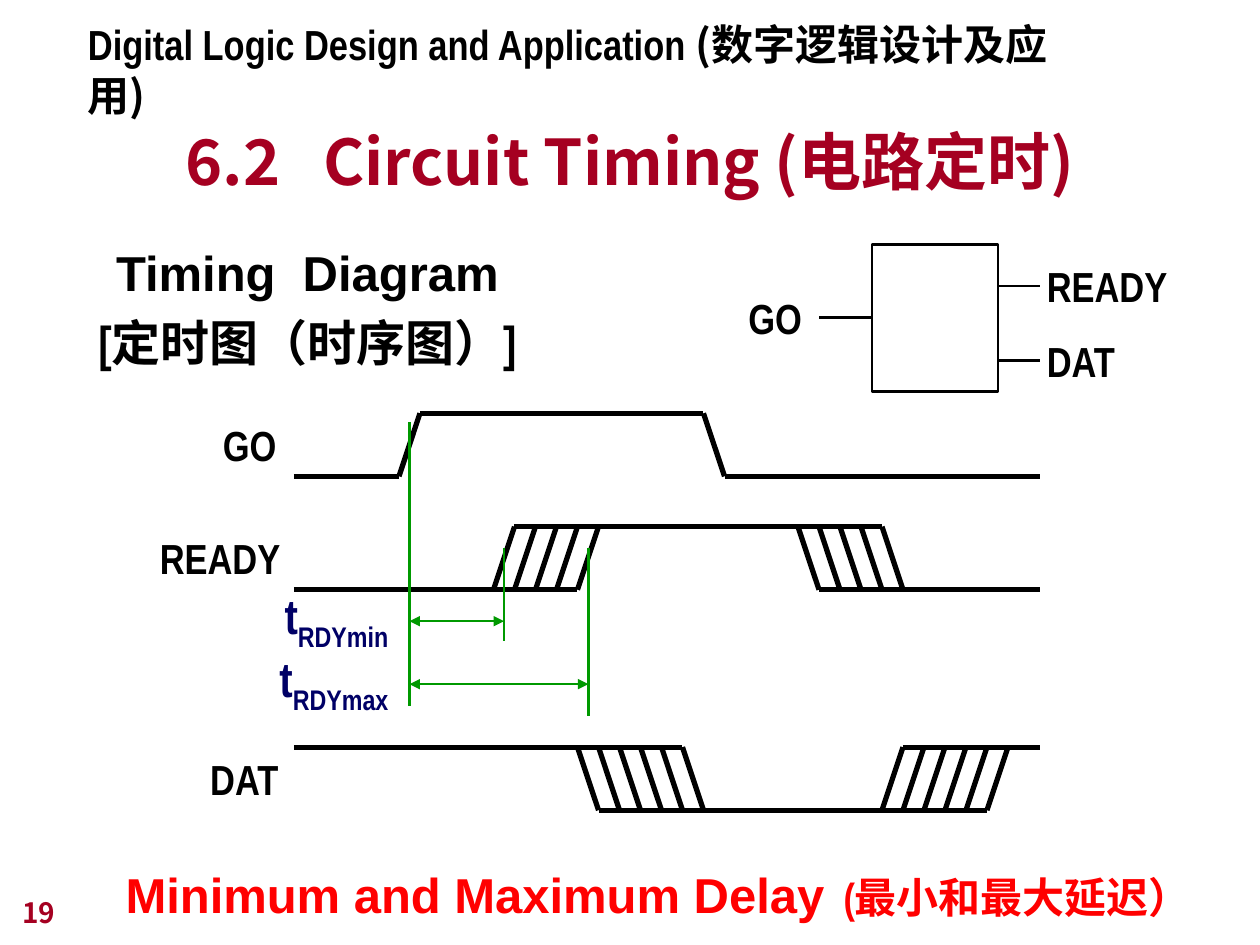
from dataclasses import dataclass
from typing import NamedTuple

from lxml.etree import SubElement
from pptx import Presentation
from pptx.dml.color import RGBColor
from pptx.enum.shapes import MSO_CONNECTOR, MSO_SHAPE
from pptx.enum.text import MSO_ANCHOR, MSO_AUTO_SIZE, PP_ALIGN
from pptx.oxml.ns import qn
from pptx.util import Inches, Pt

ARIAL, NARROW, CJK = "Arial", "Arial Narrow", "Noto Sans CJK JP"
BLACK, GREEN, NAVY, CRIMSON, RED = "000000", "009900", "000066", "A50021", "FF0000"
STEP = 1 / 6  # horizontal width of one signal edge
SWING = 0.5  # height between the low and high levels
WAVE_START, WAVE_END = 14, 49.5  # in steps


class Run(NamedTuple):
    text: str
    font: str = NARROW
    size: float = 24
    subscript: bool = False


class Edge(NamedTuple):
    """A transition at x steps, repeated over `spread` further steps."""
    x: float
    spread: int = 0


@dataclass
class Wave:
    name: str
    label_left: float
    label_width: float
    top: float
    starts_high: bool
    edges: list[Edge]


WAVES = [
    Wave("GO", 1.67, 0.62, 3.28, False, [Edge(19), Edge(33.5)]),
    Wave("READY", 1.17, 1.15, 4.18, False, [Edge(23.5, 4), Edge(38, 4)]),
    Wave("DAT", 1.57, 0.76, 5.93, True, [Edge(27.5, 5), Edge(42, 5)]),
]

prs = Presentation()
prs.slide_width, prs.slide_height = Inches(10), Inches(7.5)
s = prs.slides.add_slide(prs.slide_layouts[6])


def rgb(color: str) -> RGBColor:
    return RGBColor.from_string(color)


def add_line(x1: float, y1: float, x2: float, y2: float, color: str = BLACK,
             width: float = 1.5, arrows: bool = False) -> None:
    line = s.shapes.add_connector(
        MSO_CONNECTOR.STRAIGHT, Inches(x1), Inches(y1), Inches(x2), Inches(y2))
    line.line.color.rgb = rgb(color)
    line.line.width = Pt(width)
    if arrows:
        ln = line.line._get_or_add_ln()
        for end in ("a:headEnd", "a:tailEnd"):
            SubElement(ln, qn(end), type="triangle")
    SubElement(line._element.spPr, qn("a:effectLst"))


def add_text(left: float, top: float, width: float, height: float,
             paragraphs: list[list[Run]], color: str = BLACK,
             align: PP_ALIGN = PP_ALIGN.LEFT, wrap: bool = False,
             bottom: bool = False, spacing: float = 1.0) -> None:
    sp = s.shapes.add_textbox(
        Inches(left), Inches(top), Inches(width), Inches(height))
    tf = sp.text_frame
    tf.word_wrap = wrap
    tf.margin_left = Inches(0 if align == PP_ALIGN.CENTER else 0.1)
    tf.margin_right = 0
    tf.auto_size = MSO_AUTO_SIZE.NONE if bottom else MSO_AUTO_SIZE.SHAPE_TO_FIT_TEXT
    tf.vertical_anchor = MSO_ANCHOR.BOTTOM if bottom else MSO_ANCHOR.TOP
    for i, runs in enumerate(paragraphs):
        p = tf.add_paragraph() if i else tf.paragraphs[0]
        p.alignment = align
        p.line_spacing = spacing
        for run in runs:
            r = p.add_run()
            r.text = run.text
            r.font.name, r.font.size, r.font.bold = run.font, Pt(run.size), True
            r.font.color.rgb = rgb(color)
            rPr = r._r.get_or_add_rPr()
            SubElement(rPr, qn("a:ea"), typeface=CJK)
            if run.subscript:
                rPr.set("baseline", "-25000")


def add_wave(wave: Wave) -> None:
    def segment(x1: float, y1: float, x2: float, y2: float) -> None:
        add_line(x1 * STEP, y1, x2 * STEP, y2, width=3)

    level, other = wave.top, wave.top + SWING
    if not wave.starts_high:
        level, other = other, level
    x = WAVE_START
    for edge in wave.edges:
        segment(x, level, edge.x, level)
        if edge.spread:  # the old level may last until the latest transition
            segment(edge.x, level, edge.x + edge.spread, level)
        for i in range(edge.spread + 1):
            segment(edge.x + i, level, edge.x + i + 1, other)
        x = edge.x + 1
        level, other = other, level
    segment(x, level, WAVE_END, level)
    add_text(wave.label_left, wave.top, wave.label_width, 0.5, [[Run(wave.name)]])


def add_delay(name: str, left: float, top: float, width: float,
              end: float, arrow_y: float, marker_bottom: float) -> None:
    """Draw a labelled delay from the GO edge to the marker at `end`."""
    add_line(end, 4.35, end, marker_bottom, GREEN)
    add_line(3.25, arrow_y, end, arrow_y, GREEN, arrows=True)
    add_text(left, top, width, 0.63,
             [[Run("t", size=28), Run(name, size=28, subscript=True)]], NAVY)


# Block symbol
block = s.shapes.add_shape(
    MSO_SHAPE.RECTANGLE, Inches(6.92), Inches(1.94), Inches(1), Inches(1.17))
block.shadow.inherit = False
block.fill.background()
block.line.color.rgb = rgb(BLACK)
block.line.width = Pt(1.5)
add_line(6.5, 2.52, 6.92, 2.52)
add_text(5.84, 2.27, 0.62, 0.5, [[Run("GO")]])
for name, y, width in [("READY", 2.27, 1.15), ("DAT", 2.86, 0.76)]:
    add_line(7.92, y, 8.25, y)
    add_text(8.21, y - 0.25, width, 0.5, [[Run(name)]])

# Timing diagram
for wave in WAVES:
    add_wave(wave)
add_line(3.25, 3.35, 3.25, 5.6, GREEN)
add_delay("RDYmin", 2.16, 4.6, 1.02, 4, 4.93, 5.09)
add_delay("RDYmax", 2.12, 5.1, 1.06, 4.67, 5.43, 5.68)

# Headings and notes
add_text(0.6, 0.1, 8.1, 0.5,
         [[Run("Digital Logic Design and Application "),
           Run("(数字逻辑设计及应用)", CJK)]], wrap=True)
add_text(0.75, 0.79, 8.5, 0.83, [[Run("6.2   Circuit Timing (电路定时)", CJK, 36)]],
         CRIMSON, PP_ALIGN.CENTER, wrap=True, bottom=True)
add_text(0.59, 1.78, 3.7, 1.22,
         [[Run("Timing  Diagram", ARIAL, 28)], [Run("[定时图（时序图）]", size=28)]],
         align=PP_ALIGN.CENTER, spacing=1.2)
add_text(0.86, 6.81, 8.73, 0.57,
         [[Run("Minimum and Maximum Delay", ARIAL, 28), Run("  (最小和最大延迟）")]],
         RED, PP_ALIGN.CENTER)
add_text(0.08, 6.92, 2.08, 0.5, [[Run("19", CJK, 16)]], CRIMSON, wrap=True, bottom=True)

prs.save("out.pptx")
